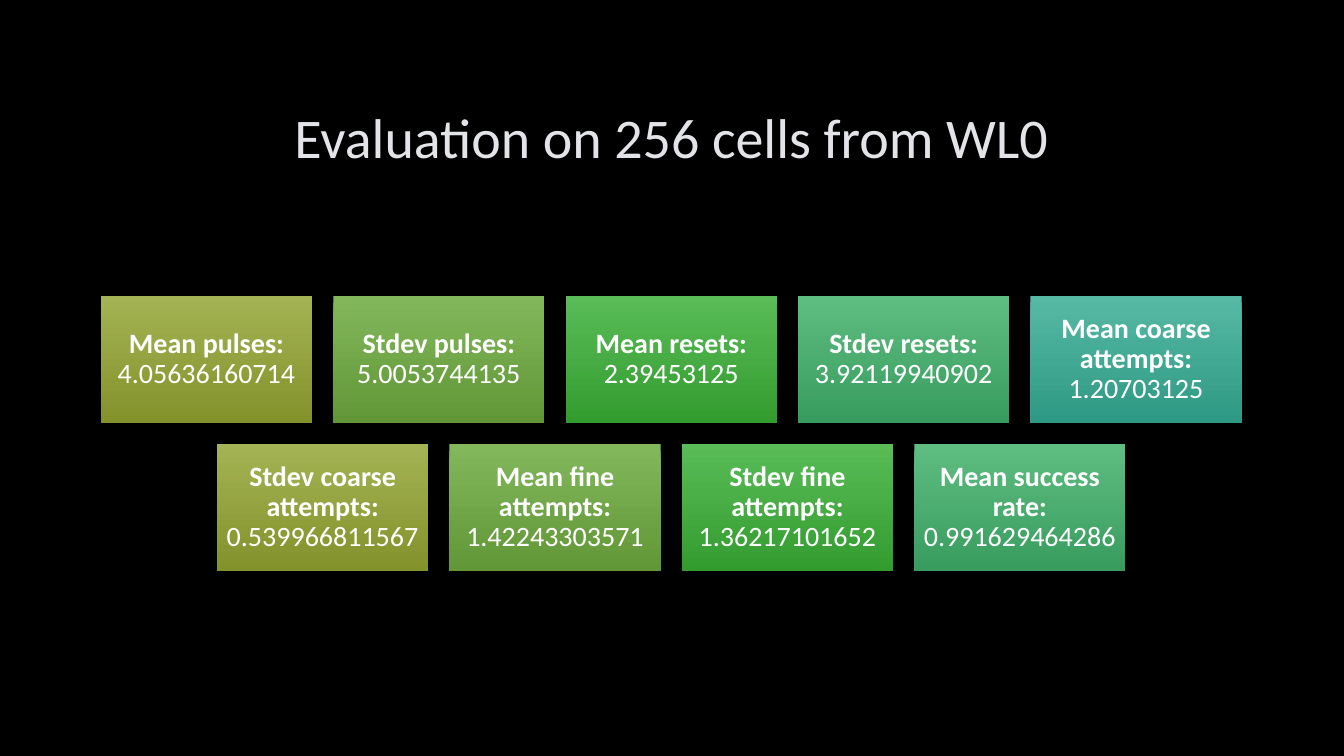
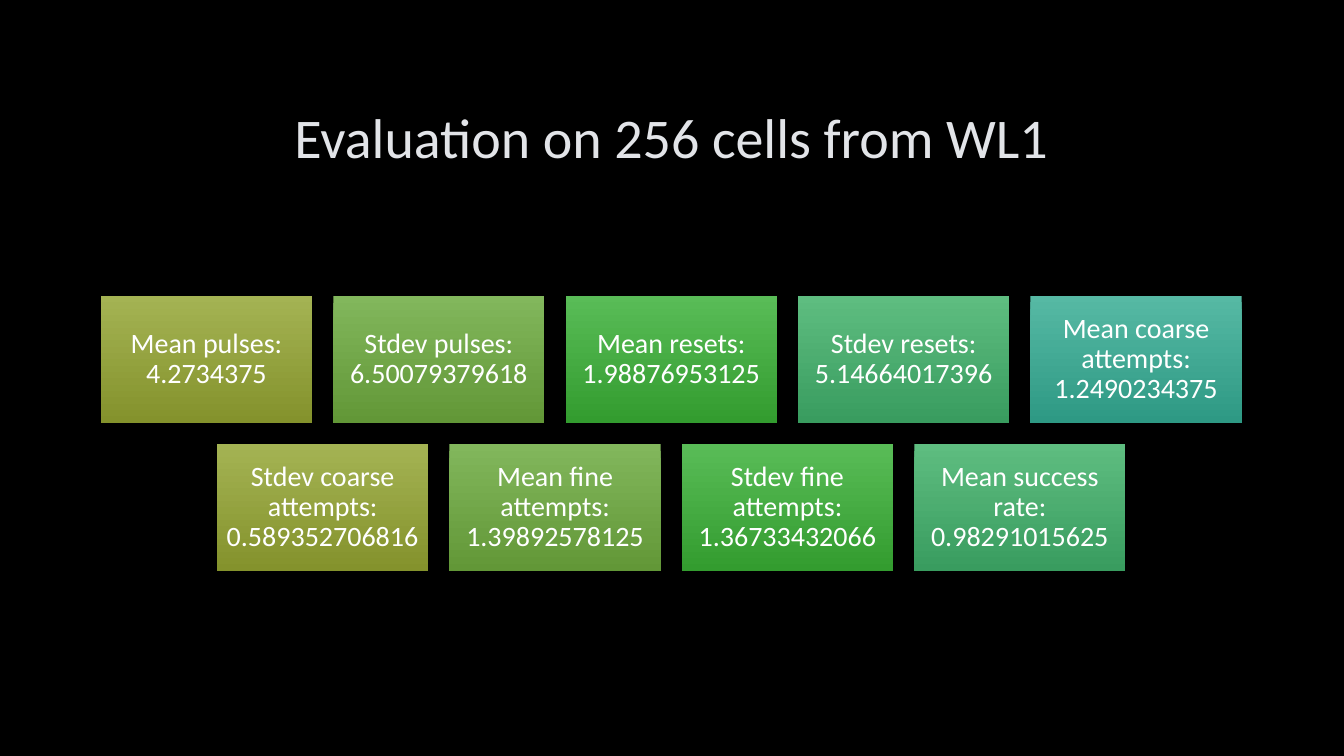
"""Build two slides of evaluation results as rows of gradient cards."""
from pptx import Presentation
from pptx.dml.color import RGBColor
from pptx.enum.shapes import MSO_SHAPE
from pptx.enum.text import MSO_ANCHOR, PP_ALIGN
from pptx.util import Pt

COLORS = {
    "background": "000000",
    "title": "E2E4E8",
    "card_text": "FFFFFF",
    "olive_top": "A4B353",
    "olive_bottom": "84922C",
    "lime_top": "82B75C",
    "lime_bottom": "629737",
    "green_top": "59BC57",
    "green_bottom": "339C2F",
    "emerald_top": "5EBD80",
    "emerald_bottom": "399C5F",
    "teal_top": "56B9A4",
    "teal_bottom": "2E9984",
}
CARD_HUES = ["olive", "lime", "green", "emerald", "teal"]
FONT = "Calibri"

CONTENT_LEFT, CONTENT_WIDTH = 72, 815
CARDS_TOP = 211.4
CARD_WIDTH, CARD_HEIGHT = 150.9, 90.6
CARD_GAP = 15.1
CARD_INSET = 6

LABELS = [
    "Mean pulses: ",
    "Stdev pulses: ",
    "Mean resets: ",
    "Stdev resets: ",
    "Mean coarse attempts: ",
    "Stdev coarse attempts: ",
    "Mean fine attempts: ",
    "Stdev fine attempts: ",
    "Mean success rate: ",
]
EVALUATIONS = [
    ("Evaluation on 256 cells from WL0", True, [
        "4.05636160714", "5.0053744135", "2.39453125",
        "3.92119940902", "1.20703125", "0.539966811567",
        "1.42243303571", "1.36217101652", "0.991629464286",
    ]),
    ("Evaluation on 256 cells from WL1", False, [
        "4.2734375", "6.50079379618", "1.98876953125",
        "5.14664017396", "1.2490234375", "0.589352706816",
        "1.39892578125", "1.36733432066", "0.98291015625",
    ]),
]


def color(name):
    return RGBColor.from_string(COLORS[name])


class Deck:
    def __init__(self):
        self.presentation = Presentation()
        self.presentation.slide_width = Pt(960)
        self.presentation.slide_height = Pt(540)
        background = self.presentation.slide_master.background.fill
        background.solid()
        background.fore_color.rgb = color("background")
        self.slide = None

    def add_slide(self, title):
        layout = self.presentation.slide_layouts.get_by_name("Title Only")
        self.slide = self.presentation.slides.add_slide(layout)
        shape = self.slide.shapes.title
        shape.left, shape.top = Pt(CONTENT_LEFT), Pt(48)
        shape.width, shape.height = Pt(CONTENT_WIDTH), Pt(99)
        shape.text_frame.text = title
        shape.text_frame.vertical_anchor = MSO_ANCHOR.MIDDLE
        self.format_paragraph(shape.text_frame.paragraphs[0], 40, "title")

    def format_paragraph(self, paragraph, size, color_name):
        paragraph.alignment = PP_ALIGN.CENTER
        paragraph.font.name = FONT
        paragraph.font.size = Pt(size)
        paragraph.font.color.rgb = color(color_name)

    def add_card(self, left, top, hue, label, value, bold_label):
        shape = self.slide.shapes.add_shape(
            MSO_SHAPE.RECTANGLE, Pt(left), Pt(top), Pt(CARD_WIDTH), Pt(CARD_HEIGHT))
        shape.shadow.inherit = False
        shape.line.fill.background()
        shape.fill.gradient()
        shape.fill.gradient_angle = 270
        for stop, end in zip(shape.fill.gradient_stops, ("top", "bottom")):
            stop.color.rgb = color(f"{hue}_{end}")

        frame = shape.text_frame
        frame.word_wrap = True
        frame.vertical_anchor = MSO_ANCHOR.MIDDLE
        frame.margin_left = frame.margin_right = Pt(CARD_INSET)
        frame.margin_top = frame.margin_bottom = Pt(CARD_INSET)
        paragraph = frame.paragraphs[0]
        self.format_paragraph(paragraph, 20, "card_text")
        paragraph.line_spacing = 0.9
        if bold_label:
            label_run = paragraph.add_run()
            label_run.text = label
            label_run.font.bold = True
            paragraph.add_run().text = value
        else:
            paragraph.add_run().text = label + value

    def add_cards(self, values, bold_label):
        cards = list(zip(LABELS, values))
        per_row = len(CARD_HUES)
        for row, start in enumerate(range(0, len(cards), per_row)):
            row_cards = cards[start:start + per_row]
            row_width = len(row_cards) * (CARD_WIDTH + CARD_GAP) - CARD_GAP
            row_left = CONTENT_LEFT + (CONTENT_WIDTH - row_width) / 2
            top = CARDS_TOP + row * (CARD_HEIGHT + CARD_GAP)
            for column, (label, value) in enumerate(row_cards):
                left = row_left + column * (CARD_WIDTH + CARD_GAP)
                self.add_card(left, top, CARD_HUES[column], label, value, bold_label)


def main():
    deck = Deck()
    for title, bold_label, values in EVALUATIONS:
        deck.add_slide(title)
        deck.add_cards(values, bold_label)
    deck.presentation.save("out.pptx")


if __name__ == "__main__":
    main()
